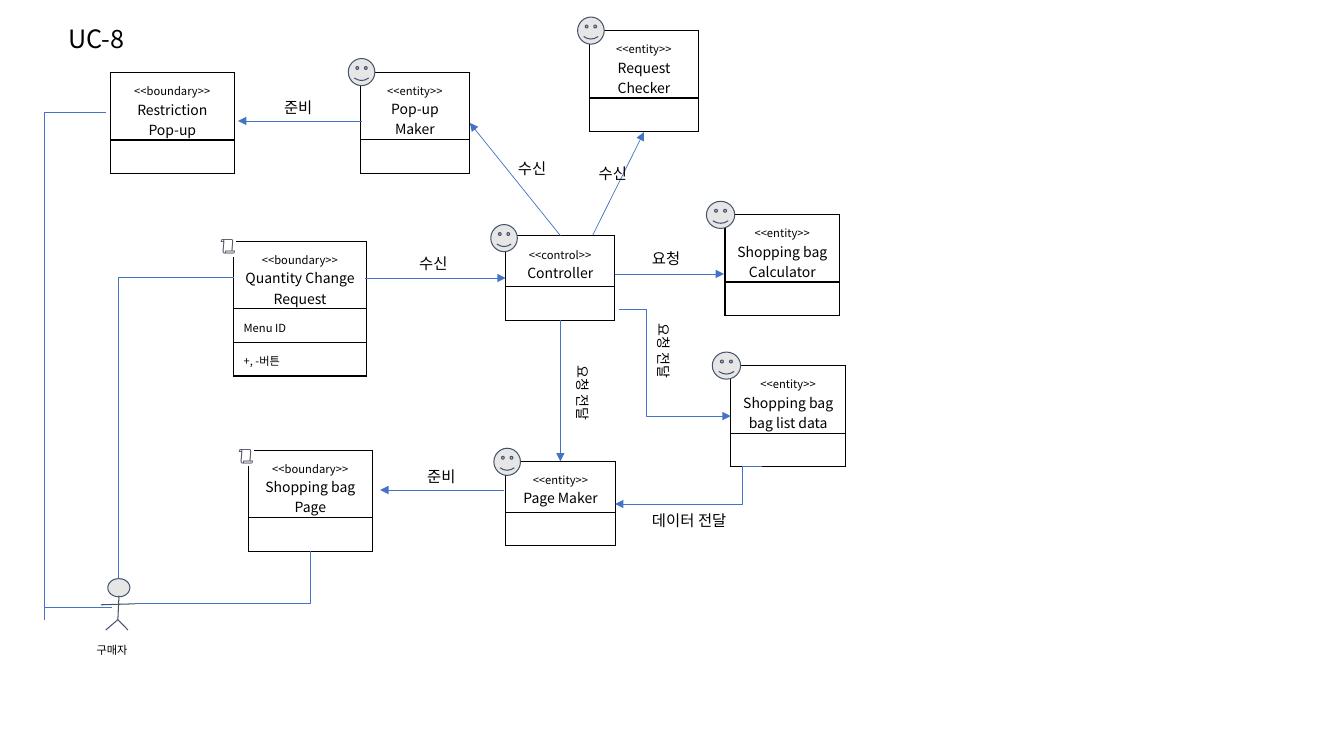
from dataclasses import dataclass

from lxml import etree
from pptx import Presentation
from pptx.dml.color import RGBColor
from pptx.enum import shapes, text
from pptx.oxml import ns
from pptx.util import Pt


@dataclass(frozen=True)
class Theme:
    """Colours, type sizes and line weights of the diagram."""
    font: str = "Noto Sans CJK KR"
    ink: str = "000000"
    flow: str = "4472C4"
    outline: str = "44546A"
    face: str = "E7E6E6"
    scroll: str = "515365"
    paper: str = "FFFFFF"
    title: int = 18
    icon: int = 12
    label: int = 11
    name: int = 10
    small: int = 8
    border: float = 1
    thin: float = 0.5
    figure: float = 0.75


THEME = Theme()
INSET = 7.2
ROW = 24
HEADER = {1: 36.2, 2: 48.2}  # header height by number of name lines
CENTER = text.PP_ALIGN.CENTER


def apply(target, **values):
    """Set each named attribute on the target."""
    for key, value in values.items():
        setattr(target, key, value)


def add_xml(parent, tag, index=None, **attributes):
    """Add a drawing element to the parent and return it."""
    element = etree.Element(ns.qn(tag), attributes)
    parent.insert(len(parent) if index is None else index, element)
    return element


def write(para, words, size, color=THEME.ink, align=None, highlight=None):
    """Fill one paragraph with a formatted run."""
    para.alignment = align
    span = para.add_run()
    span.text = words
    apply(span.font, size=Pt(size), name=THEME.font)
    span.font.color.rgb = RGBColor.from_string(color)
    props = span.font._element
    add_xml(props, "a:ea", typeface=THEME.font)
    if highlight:
        mark = add_xml(props, "a:highlight", index=1)
        add_xml(mark, "a:srgbClr", val=highlight)


def add_text(page, words, left, top, width, height, size=THEME.label,
             inset=3.6, turn=0, **style):
    """Add a text box, turned if asked."""
    box = page.shapes.add_textbox(*map(Pt, (left, top, width, height)))
    box.rotation = turn
    apply(box.text_frame, word_wrap=True, margin_top=Pt(inset),
          margin_bottom=Pt(inset), margin_left=Pt(INSET), margin_right=Pt(INSET))
    write(box.text_frame.paragraphs[0], words, size, **style)


def border_cell(cell):
    """Draw a plain border on all four sides of a cell without fill."""
    props = cell._tc.get_or_add_tcPr()
    for side in ("a:lnL", "a:lnR", "a:lnT", "a:lnB"):
        line = add_xml(props, side, w=str(Pt(THEME.border)))
        add_xml(add_xml(line, "a:solidFill"), "a:srgbClr", val=THEME.ink)
    cell.fill.background()


def add_card(page, left, top, width, stereotype, names, fields=("",)):
    """Add a class card: a header row, then one row per field."""
    heights = [HEADER[len(names)]] + [ROW] * len(fields)
    frame = page.shapes.add_table(len(heights), 1, Pt(left), Pt(top),
                                  Pt(width), Pt(sum(heights)))
    table = frame.table
    apply(table, first_row=False, horz_banding=False)
    for row, height in zip(table.rows, heights):
        row.height = Pt(height)
        cell = row.cells[0]
        apply(cell, margin_left=Pt(INSET), margin_right=Pt(INSET),
              margin_top=Pt(INSET), margin_bottom=Pt(0))
        border_cell(cell)
    header = table.cell(0, 0).text_frame
    write(header.paragraphs[0], f"<<{stereotype}>>", THEME.small, align=CENTER)
    for name in names:
        write(header.add_paragraph(), name, THEME.name, align=CENTER)
    for index, field in enumerate(fields, 1):
        para = table.cell(index, 0).text_frame.paragraphs[0]
        para.font.size = Pt(THEME.small)
        if field:
            write(para, field, THEME.small)


def add_figure(page, kind, left, top, width, height):
    """Add a grey outlined preset shape."""
    shape = page.shapes.add_shape(kind, *map(Pt, (left, top, width, height)))
    shape.shadow.inherit = False
    shape.fill.solid()
    shape.fill.fore_color.rgb = RGBColor.from_string(THEME.face)
    shape.line.color.rgb = RGBColor.from_string(THEME.outline)
    shape.line.width = Pt(THEME.figure)
    return shape


def add_smiley(page, left, top, width):
    """Add the smiley that marks an object card."""
    add_figure(page, shapes.MSO_SHAPE.SMILEY_FACE, left, top, width,
               19.4).adjustments[0] = 0.047


def add_line(page, start, end, arrow=False, bend=None,
             color=THEME.flow, weight=THEME.thin):
    """Add a straight line, or an elbow that turns at the share `bend`."""
    kinds = shapes.MSO_CONNECTOR
    kind = kinds.STRAIGHT if bend is None else kinds.ELBOW
    line = page.shapes.add_connector(kind, *map(Pt, start + end))
    line.line.color.rgb = RGBColor.from_string(color)
    line.line.width = Pt(weight)
    props = line._element.spPr
    if arrow:
        add_xml(props.find(ns.qn("a:ln")), "a:tailEnd", type="triangle")
    add_xml(props, "a:effectLst")
    if bend is not None:
        guides = props.find(ns.qn("a:prstGeom")).get_or_add_avLst()
        add_xml(guides, "a:gd", name="adj1", fmla=f"val {round(bend * 100000)}")


def add_buyer(page):
    """Add the stick figure of the buyer with its caption."""
    add_figure(page, shapes.MSO_SHAPE.OVAL, 77, 413.3, 15.8, 13)
    hip = (84.2, 442.6)
    for start, end in ((hip, (85, 425.5)), (hip, (75.6, 450)),
                       (hip, (91.4, 450)), ((72, 432), (96.5, 431.3))):
        add_line(page, start, end, color=THEME.outline, weight=THEME.figure)
    add_text(page, "구매자", 61.9, 455, 44, 22.3, THEME.small, inset=INSET)


def main():
    """Build the use case diagram."""
    deck = Presentation()
    apply(deck, slide_width=Pt(960), slide_height=Pt(540))
    page = deck.slides.add_slide(deck.slide_layouts[6])
    add_text(page, "UC-8", 41.8, 13, 74.2, 28.8, THEME.title)

    objects = (  # left, top, width, stereotype, names, smiley left, top, width
        (361.2, 168.5, 78, "control", ["Controller"], 350.6, 160.4, 19),
        (361.2, 329.6, 78.4, "entity", ["Page Maker"], 352.8, 320.2, 19),
        (517.8, 153.2, 82, "entity", ["Shopping bag", "Calculator"], 504.6, 143.8, 20.2),
        (522, 261.2, 82, "entity", ["Shopping bag", "bag list data"], 508.8, 251.5, 20.2),
        (257.4, 51.6, 78, "entity", ["Pop-up", "Maker"], 248.8, 41.8, 19),
        (421, 21.8, 78, "entity", ["Request", "Checker"], 412.6, 12.2, 19))
    for *card, left, top, width in objects:
        add_card(page, *card)
        add_smiley(page, left, top, width)

    add_card(page, 78.8, 51.8, 88.6, "boundary", ["Restriction", "Pop-up"])
    add_card(page, 177.4, 321.6, 88.6, "boundary", ["Shopping bag", "Page"])
    add_card(page, 166.8, 172.4, 95, "boundary", ["Quantity Change", "Request"],
             ["Menu ID", "+, -버튼"])
    for left, top in ((162.7, 310.3), (149.8, 160.6)):
        add_text(page, "📜", left, top, 33.8, 26.6, THEME.icon, inset=INSET,
                 color=THEME.scroll, highlight=THEME.paper)
    add_buyer(page)

    arrows = (  # from, to
        ((260.8, 198.6), (361.2, 198.6)), ((360, 350), (271.6, 350)),
        ((439.2, 195.7), (517.2, 195.7)), ((258.5, 86.4), (170, 86.4)),
        ((400.3, 228.4), (400.3, 329.6)), ((400.3, 168.3), (335.6, 87.8)),
        ((423.4, 168), (460, 94.4)))
    for start, end in arrows:
        add_line(page, start, end, arrow=True)
    elbows = (  # from, to, turn, arrow
        ((166.8, 198.2), (84.8, 413.3), 1, False),
        ((96.5, 431.4), (221.8, 393.8), 1, False),
        ((75.6, 80), (31.8, 87.8), 1, False),
        ((442, 221), (522, 297.2), 0.25, True),
        ((544.2, 333.4), (439.4, 360), 0.13, True))
    for start, end, bend, arrow in elbows:
        add_line(page, start, end, arrow, bend)
    add_line(page, (31.8, 87.8), (31.8, 442.8))
    add_line(page, (31.8, 434.2), (80, 434.2))

    labels = (("수신", 292.3, 177.8, 37.4), ("준비", 298, 329.8, 37.4),
              ("요청", 458.6, 174.2, 37.4), ("준비", 195.8, 66.2, 37.4),
              ("수신", 362.9, 110.2, 37.4), ("수신", 420.5, 113.8, 37.4),
              ("데이터 전달", 458.6, 361.4, 77.8))
    for words, left, top, width in labels:
        add_text(page, words, left, top, width, 20.9)
    for left, top in ((368, 267.2), (425.6, 237.2)):
        add_text(page, "요청 전달", left, top, 95, 26.6, THEME.name,
                 inset=INSET, turn=90.1, align=CENTER)
    deck.save("out.pptx")


if __name__ == "__main__":
    main()
